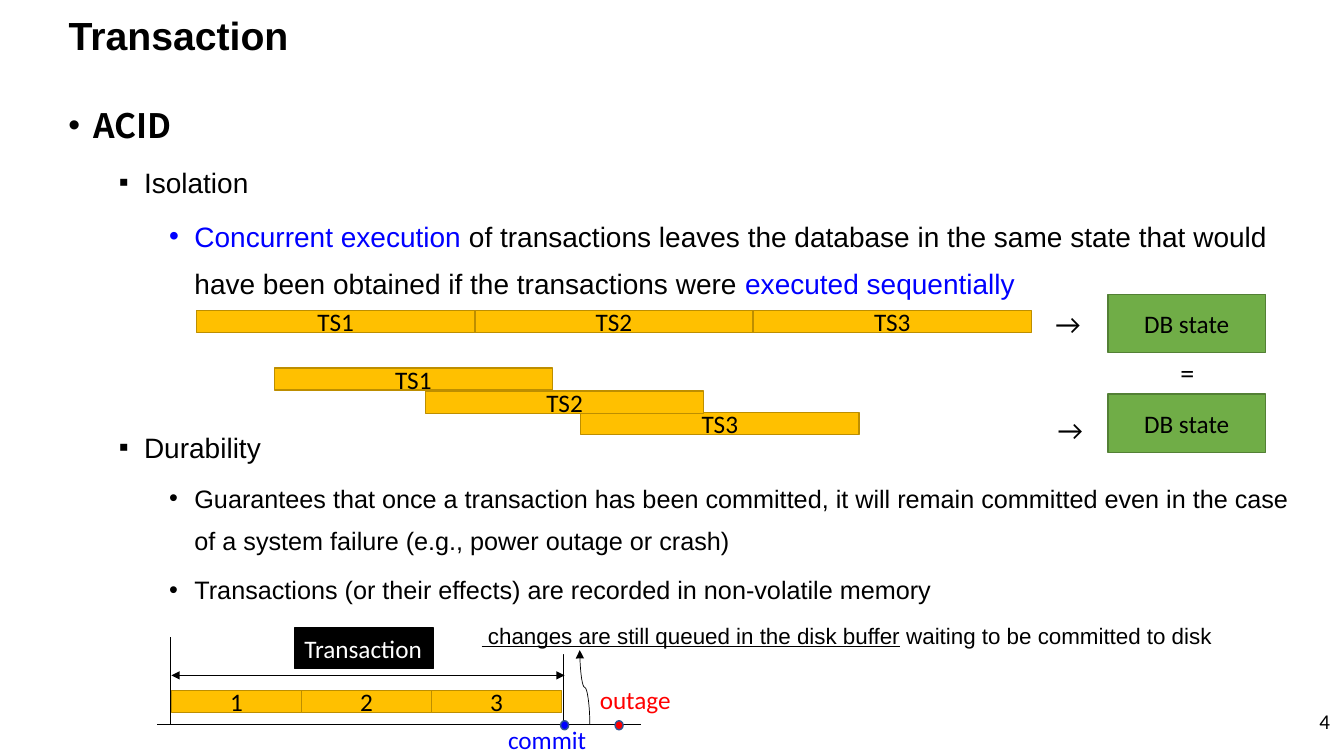
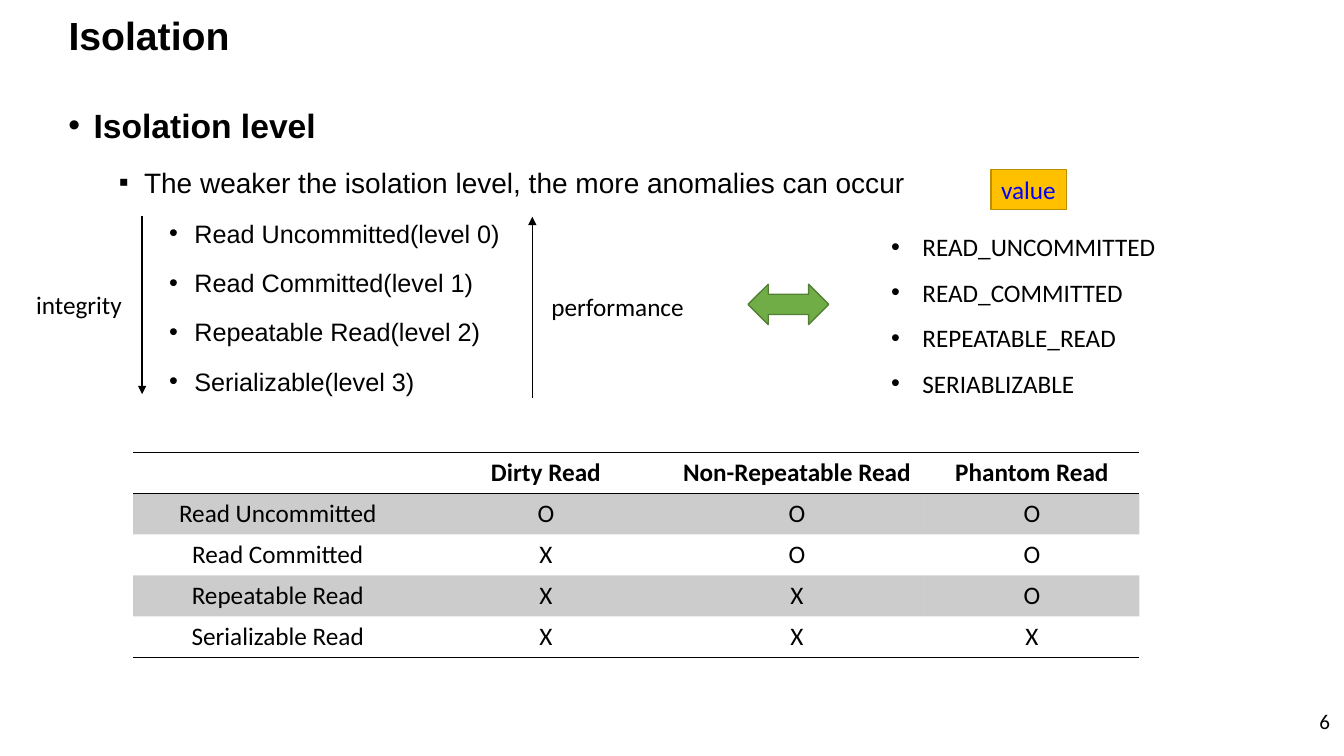
from dataclasses import dataclass
from typing import NamedTuple

from lxml.etree import SubElement
from pptx import Presentation
from pptx.dml.color import RGBColor
from pptx.enum.shapes import MSO_CONNECTOR, MSO_SHAPE
from pptx.enum.text import MSO_ANCHOR, MSO_AUTO_SIZE, PP_ALIGN
from pptx.oxml.ns import qn
from pptx.util import Inches, Pt


@dataclass(frozen=True)
class Theme:
    black: RGBColor = RGBColor(0, 0, 0)
    white: RGBColor = RGBColor(255, 255, 255)
    blue: RGBColor = RGBColor(0, 0, 255)
    red: RGBColor = RGBColor(255, 0, 0)
    amber: RGBColor = RGBColor(0xFF, 0xC0, 0x00)
    amber_edge: RGBColor = RGBColor(0xBD, 0x8E, 0x00)
    green: RGBColor = RGBColor(0x70, 0xAD, 0x47)
    green_edge: RGBColor = RGBColor(0x53, 0x80, 0x35)
    dot_edge: RGBColor = RGBColor(0x32, 0x54, 0x91)
    heading_font: str = "Arial"
    label_font: str = "Calibri"
    cjk_font: str = "Noto Sans CJK KR"
    title: float = 28
    topic: float = 24
    point: float = 20
    label: float = 18
    note: float = 16
    page: float = 15


THEME = Theme()
NO_STYLE_NO_GRID = "{2D5ABB26-0587-4C30-8999-92F81FD0307C}"


class Box(NamedTuple):
    left: float
    top: float
    width: float
    height: float

    def emu(self):
        return [Inches(value) for value in self]


class Bar(NamedTuple):
    text: str
    box: Box


class Label(NamedTuple):
    text: str
    box: Box
    color: RGBColor = THEME.black
    size: float = THEME.label


class Stroke(NamedTuple):
    start: tuple[float, float]
    end: tuple[float, float]
    width: float = 0.5
    head: bool = False
    tail: bool = False
    rotation: int = 0


@dataclass(frozen=True)
class Item:
    level: int
    runs: tuple
    size: float = THEME.label
    font: str = THEME.heading_font
    before: float = 5


def write(paragraph, text: str, *, size=THEME.label, color=THEME.black,
          font=THEME.label_font, bold=False, underline=False, align=None):
    run = paragraph.add_run()
    run.text = text
    run.font.size = Pt(size)
    run.font.name = font
    run.font.bold = bold
    run.font.underline = underline
    run.font.color.rgb = color
    if align is not None:
        paragraph.alignment = align


def add_bullet(paragraph, mark: str, margin: float, hang: float) -> None:
    properties = paragraph._p.get_or_add_pPr()
    properties.set("marL", str(Inches(margin)))
    properties.set("indent", str(-Inches(hang)))
    SubElement(properties, qn("a:buFont")).set("typeface", "Arial")
    SubElement(properties, qn("a:buChar")).set("char", mark)


def add_text_box(slide, box: Box, wrap=True, anchor=MSO_ANCHOR.TOP):
    frame = slide.shapes.add_textbox(*box.emu()).text_frame
    frame.word_wrap = wrap
    frame.vertical_anchor = anchor
    frame.auto_size = MSO_AUTO_SIZE.NONE if wrap else MSO_AUTO_SIZE.SHAPE_TO_FIT_TEXT
    return frame


def add_label(slide, label: Label) -> None:
    frame = add_text_box(slide, label.box, wrap=False)
    write(frame.paragraphs[0], label.text, size=label.size, color=label.color)


def add_figure(slide, kind, box: Box, fill, edge=None):
    figure = slide.shapes.add_shape(kind, *box.emu())
    figure.shadow.inherit = False
    figure.fill.solid()
    figure.fill.fore_color.rgb = fill
    if edge is None:
        figure.line.fill.background()
    else:
        figure.line.color.rgb = edge
        figure.line.width = Pt(1)
    return figure


def add_bar(slide, bar: Bar, fill=THEME.amber, edge=THEME.amber_edge) -> None:
    frame = add_figure(slide, MSO_SHAPE.RECTANGLE, bar.box, fill, edge).text_frame
    frame.vertical_anchor = MSO_ANCHOR.MIDDLE
    write(frame.paragraphs[0], bar.text, align=PP_ALIGN.CENTER)


def add_tag(slide, tag: Label, fill, edge) -> None:
    frame = add_figure(slide, MSO_SHAPE.RECTANGLE, tag.box, fill, edge).text_frame
    frame.word_wrap = False
    frame.auto_size = MSO_AUTO_SIZE.SHAPE_TO_FIT_TEXT
    frame.vertical_anchor = MSO_ANCHOR.TOP
    write(frame.paragraphs[0], tag.text, color=tag.color, align=PP_ALIGN.LEFT)


def add_stroke(slide, stroke: Stroke, kind=MSO_CONNECTOR.STRAIGHT) -> None:
    ends = [Inches(value) for value in (*stroke.start, *stroke.end)]
    connector = slide.shapes.add_connector(kind, *ends)
    connector.line.color.rgb = THEME.black
    connector.line.width = Pt(stroke.width)
    properties = connector._element.spPr
    if stroke.rotation:
        properties.find(qn("a:xfrm")).set("rot", str(stroke.rotation * 60000))
    outline = properties.find(qn("a:ln"))
    for end, shown in (("a:headEnd", stroke.head), ("a:tailEnd", stroke.tail)):
        if shown:
            SubElement(outline, qn(end)).set("type", "triangle")
    SubElement(properties, qn("a:effectLst"))


def add_items(slide, items: list[Item]) -> None:
    frame = add_text_box(slide, Box(0.58, 0.83, 12.39, 6.6))
    for index, item in enumerate(items):
        paragraph = frame.add_paragraph() if index else frame.paragraphs[0]
        paragraph.level = item.level
        paragraph.line_spacing = 1.4
        paragraph.space_before = Pt(item.before)
        add_bullet(paragraph, "▪" if item.level == 1 else "•",
                   0.25 + 0.5 * item.level, 0.25)
        for text, color in item.runs:
            write(paragraph, text, size=item.size, color=color,
                  font=item.font, bold=item.level == 0)


def plain(level: int, text: str, **style) -> Item:
    return Item(level, ((text, THEME.black),), **style)


def start_slide(deck, title: str, page: str):
    slide = deck.slides.add_slide(deck.slide_layouts[5])
    heading = slide.shapes.title
    heading.left, heading.top, heading.width, heading.height = Box(0.58, 0.18, 11.5, 0.38).emu()
    frame = heading.text_frame
    frame.auto_size = MSO_AUTO_SIZE.NONE
    frame.vertical_anchor = MSO_ANCHOR.MIDDLE
    frame.paragraphs[0].line_spacing = 0.9
    write(frame.paragraphs[0], title, size=THEME.title, font=THEME.heading_font,
          bold=True, align=PP_ALIGN.LEFT)
    number = add_text_box(slide, Box(12.83, 6.95, 0.46, 0.4), anchor=MSO_ANCHOR.MIDDLE)
    write(number.paragraphs[0], page, size=THEME.page, align=PP_ALIGN.RIGHT)
    return slide


def build_transaction(deck) -> None:
    slide = start_slide(deck, "Transaction", "4")
    add_items(slide, [
        plain(0, "ACID", size=THEME.topic, font=THEME.cjk_font, before=10),
        plain(1, "Isolation", size=THEME.point),
        Item(2, (
            ("Concurrent execution", THEME.blue),
            (" of transactions leaves the database in the same state that would have been "
             "obtained if the transactions were ", THEME.black),
            ("executed sequentially", THEME.blue),
        ), size=THEME.point),
        plain(1, "Durability", size=THEME.point, before=83.5),
        plain(2, "Guarantees that once a transaction has been committed, it will remain committed "
                 "even in the case of a system failure (e.g., power outage or crash)"),
        plain(2, "Transactions (or their effects) are recorded in non-volatile memory"),
    ])

    serial = [Bar(f"TS{i + 1}", Box(1.95 + 2.76 * i, 3.08, 2.76, 0.22)) for i in range(3)]
    concurrent = [Bar(name, Box(left, top, 2.76, 0.22)) for name, left, top in
                  (("TS3", 5.76, 4.09), ("TS2", 4.22, 3.88), ("TS1", 2.72, 3.65))]
    for bar in serial + concurrent:
        add_bar(slide, bar)
    for top in (2.92, 3.91):
        add_bar(slide, Bar("DB state", Box(10.99, top, 1.56, 0.58)),
                THEME.green, THEME.green_edge)
    for label in (
        Label("=", Box(11.61, 3.48, 0.34, 0.44), size=THEME.point),
        Label("→", Box(10.37, 2.99, 0.48, 0.44), size=THEME.point),
        Label("→", Box(10.39, 4.04, 0.48, 0.44), size=THEME.point),
        Label("commit", Box(4.94, 7.14, 0.99, 0.4), THEME.blue),
        Label("outage", Box(5.85, 6.74, 0.91, 0.4), THEME.red),
    ):
        add_label(slide, label)

    for stroke in (
        Stroke((1.56, 7.19), (6.36, 7.19)),
        Stroke((1.69, 7.19), (1.69, 6.32)),
        Stroke((5.59, 7.19), (5.59, 6.33)),
        Stroke((1.7, 6.7), (5.6, 6.7), head=True, tail=True),
    ):
        add_stroke(slide, stroke)
    for left, color in ((5.56, THEME.blue), (6.1, THEME.red)):
        add_figure(slide, MSO_SHAPE.OVAL, Box(left, 7.15, 0.08, 0.09), color, THEME.dot_edge)
    add_tag(slide, Label("Transaction", Box(2.92, 6.23, 1.38, 0.4), THEME.white),
            THEME.black, THEME.black)
    for step in range(3):
        add_bar(slide, Bar(str(step + 1), Box(1.7 + 1.29 * step, 6.85, 1.29, 0.22)))

    note = add_figure(slide, MSO_SHAPE.RECTANGLE, Box(4.68, 6.12, 8.56, 0.37), THEME.white)
    note.text_frame.vertical_anchor = MSO_ANCHOR.TOP
    for text, underline in ((" changes are still queued in the disk buffer", True),
                            (" waiting to be committed to disk", False)):
        write(note.text_frame.paragraphs[0], text, size=THEME.note, font=THEME.heading_font,
              underline=underline, align=PP_ALIGN.LEFT)
    add_stroke(slide, Stroke((5.43, 6.87), (6.17, 6.77), tail=True, rotation=270),
               MSO_CONNECTOR.CURVE)


def format_cell(cell, text: str, *, bold: bool, shaded: bool, edges: list[str]) -> None:
    properties = cell._tc.get_or_add_tcPr()
    for edge in edges:
        border = SubElement(properties, qn(edge), w=str(Pt(1)))
        paint = SubElement(border, qn("a:solidFill"))
        SubElement(paint, qn("a:srgbClr")).set("val", str(THEME.black))
    if shaded:
        cell.fill.solid()
        cell.fill.fore_color.rgb = THEME.black
        tint = properties.find(qn("a:solidFill")).find(qn("a:srgbClr"))
        SubElement(tint, qn("a:alpha")).set("val", "20000")
    else:
        cell.fill.background()
    if text:
        write(cell.text_frame.paragraphs[0], text, bold=bold, align=PP_ALIGN.CENTER)


def add_anomaly_table(slide) -> None:
    rows = (
        ("", "Dirty Read", "Non-Repeatable Read", "Phantom Read"),
        ("Read Uncommitted", "O", "O", "O"),
        ("Read Committed", "X", "O", "O"),
        ("Repeatable Read", "X", "X", "O"),
        ("Serializable Read", "X", "X", "X"),
    )
    borders = {0: ["a:lnT", "a:lnB"], len(rows) - 1: ["a:lnB"]}
    box = Box(1.32, 4.49, 9.98, 2.03)
    table = slide.shapes.add_table(len(rows), len(rows[0]), *box.emu()).table
    table._tbl.tblPr.find(qn("a:tableStyleId")).text = NO_STYLE_NO_GRID
    table.first_row = table.horz_banding = False
    for column, width in zip(table.columns, (2.87, 2.45, 2.53, 2.13)):
        column.width = Inches(width)
    for r, texts in enumerate(rows):
        for c, text in enumerate(texts):
            format_cell(table.cell(r, c), text, bold=r == 0, shaded=r % 2 == 1,
                        edges=borders.get(r, []))


def build_isolation(deck) -> None:
    slide = start_slide(deck, "Isolation", "6")
    levels = ("Read Uncommitted", "Read Committed", "Repeatable Read", "Serializable")
    add_items(slide, [
        plain(0, "Isolation level", size=THEME.topic, before=10),
        plain(1, "The weaker the isolation level, the more anomalies can occur", size=THEME.point),
        *(plain(2, f"{name}(level {i})") for i, name in enumerate(levels)),
    ])
    add_anomaly_table(slide)
    add_stroke(slide, Stroke((1.41, 2.14), (1.41, 3.91), width=1, tail=True))
    add_stroke(slide, Stroke((5.28, 3.95), (5.28, 2.15), width=1, tail=True))
    add_label(slide, Label("integrity", Box(0.26, 2.82, 1.06, 0.4)))
    add_label(slide, Label("performance", Box(5.37, 2.84, 1.53, 0.4)))

    constants = add_text_box(slide, Box(8.74, 2.1, 2.85, 1.92), wrap=False)
    for index, name in enumerate(("READ_UNCOMMITTED", "READ_COMMITTED",
                                  "REPEATABLE_READ", "SERIABLIZABLE")):
        paragraph = constants.add_paragraph() if index else constants.paragraphs[0]
        paragraph.line_spacing = 1.5
        add_bullet(paragraph, "•", 0.31, 0.31)
        write(paragraph, name)
    add_figure(slide, MSO_SHAPE.LEFT_RIGHT_ARROW, Box(7.42, 2.82, 0.8, 0.4),
               THEME.green, THEME.green_edge)
    add_tag(slide, Label("value", Box(9.83, 1.68, 0.75, 0.4), THEME.blue),
            THEME.amber, THEME.amber_edge)


def main() -> None:
    deck = Presentation()
    deck.slide_width, deck.slide_height = Inches(13.33), Inches(7.5)
    build_transaction(deck)
    build_isolation(deck)
    deck.save("out.pptx")


if __name__ == "__main__":
    main()
